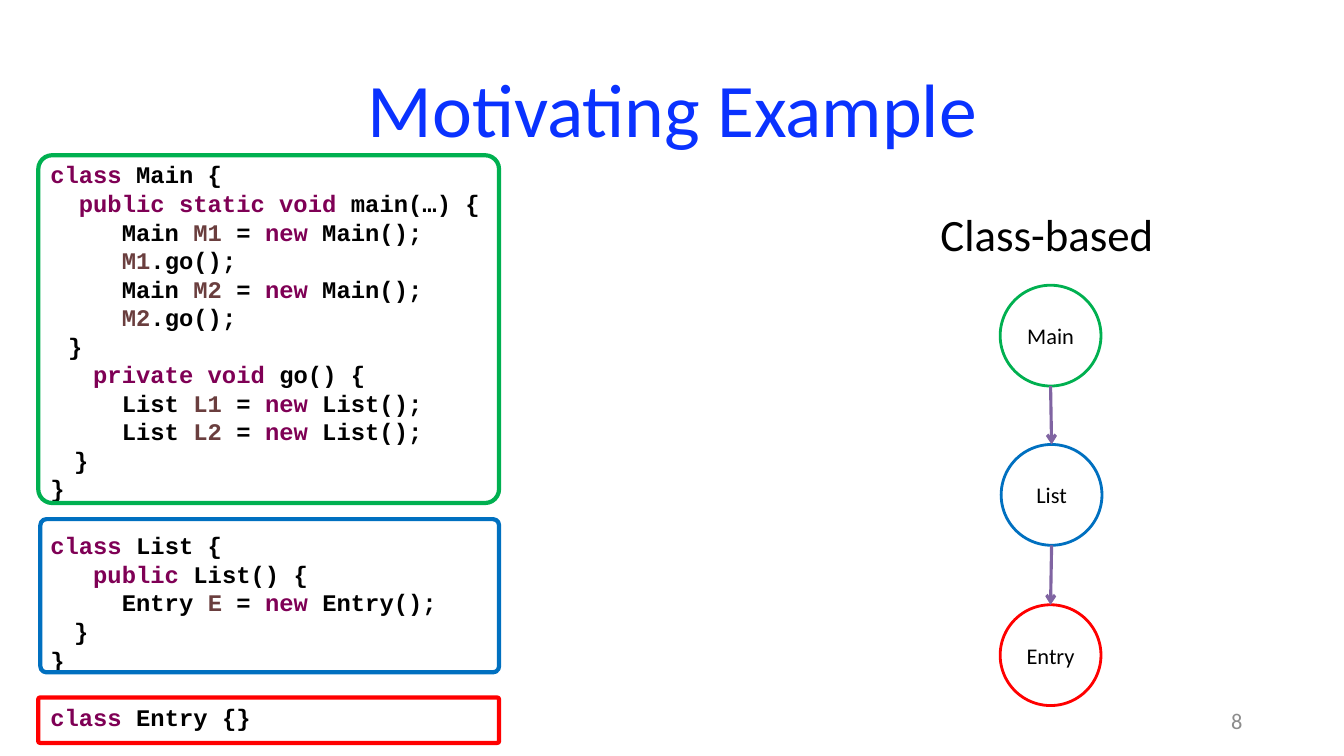
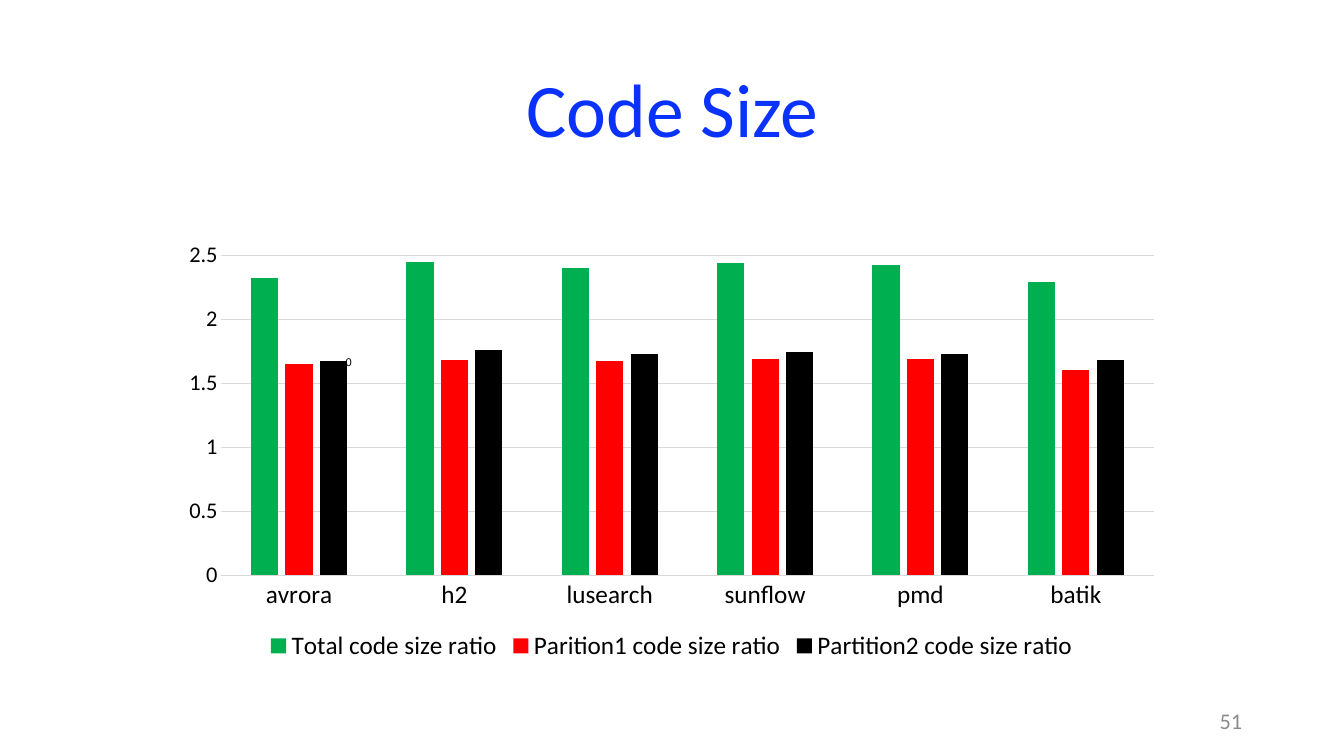
"""Build two slides: a class partitioning example and a code size chart."""
import pptx
import pptx.chart.data
import pptx.dml.color
import pptx.enum.chart
import pptx.enum.shapes
import pptx.enum.text
import pptx.oxml.ns
import pptx.util
from lxml import etree

RGB = pptx.dml.color.RGBColor
BLACK = RGB(0, 0, 0)
WHITE = RGB(255, 255, 255)
TITLE = RGB(0x0A, 0x32, 0xFF)
GRAY = RGB(0x8C, 0x8C, 0x8C)
GRID = RGB(0xD9, 0xD9, 0xD9)
GREEN = RGB(0, 0xB0, 0x50)
BLUE = RGB(0, 0x70, 0xC0)
RED = RGB(255, 0, 0)
PURPLE = RGB(0x80, 0x64, 0xA2)
KEY = RGB(0x7F, 0, 0x55)
VAR = RGB(0x6A, 0x3E, 0x3E)
SANS, MONO, SERIF = "Calibri", "Courier New", "Times New Roman"
PX = 9144
Pt = pptx.util.Pt
ALIGN = pptx.enum.text.PP_ALIGN
ANCHOR = pptx.enum.text.MSO_ANCHOR
SHAPE = pptx.enum.shapes.MSO_SHAPE


def write(para, text, size=16, font=SANS, color=BLACK, bold=False, align=ALIGN.LEFT):
    run = para.add_run()
    run.text = text
    run.font.size = Pt(size)
    run.font.name = font
    run.font.bold = bold
    run.font.color.rgb = color
    para.alignment = align


def frame(slide, x, y, w, h, anchor=ANCHOR.TOP, wrap=True):
    box = slide.shapes.add_textbox(x * PX, y * PX, w * PX, h * PX).text_frame
    box.word_wrap = wrap
    box.vertical_anchor = anchor
    return box


deck = pptx.Presentation()
deck.slide_width = 1333 * PX
deck.slide_height = 750 * PX

slides = []
for title, page in [("Motivating Example", "8"), ("Code Size", "51")]:
    slide = deck.slides.add_slide(deck.slide_layouts[6])
    para = frame(slide, 92, 40, 1150, 145, ANCHOR.MIDDLE).paragraphs[0]
    para.line_spacing = 0.9
    write(para, title, size=54, color=TITLE, align=ALIGN.CENTER)
    para = frame(slide, 942, 695, 300, 40, ANCHOR.MIDDLE).paragraphs[0]
    write(para, page, color=GRAY, align=ALIGN.RIGHT)
    slides.append(slide)
demo, sizes = slides

hues = dict.fromkeys(["class", "public static void", "private void", "public", "new"], KEY)
hues.update(dict.fromkeys(["M1", "M2", "L1", "L2", "E"], VAR))
blocks = [
    [
        "class| Main {",
        "  |public static void| main(…) {",
        "     Main |M1| = |new| Main();",
        "     |M1|.go();",
        "     Main |M2| = |new| Main();",
        "     |M2|.go();",
        "   |}",
        "   |private void| go() {",
        "     List |L1| = |new| List();",
        "     List |L2| = |new| List();",
        "    |}",
        "}",
    ],
    [
        "class| List {",
        "   |public| List() {",
        "     Entry |E| = |new| Entry();",
        "    |}",
        "}",
    ],
    ["class| Entry {}"],
]
pitch = Pt(20.4)
code = frame(demo, 40, 154, 552, 580)
para = None
for block in blocks:
    for row, line in enumerate(block):
        first = para is None
        para = code.paragraphs[0] if first else code.add_paragraph()
        para.line_spacing = pitch
        if row == 0 and not first:
            para.space_before = pitch
        parts = line.split("|")
        for part in parts:
            indent = parts[-1] == "}" and not part.strip()
            write(para, part, size=17, font=SERIF if indent else MONO,
                  color=hues.get(part.strip(), BLACK), bold=True)

for x, y, w, h, color in [
    (38, 154, 457, 345, GREEN), (40, 515, 455, 152, BLUE), (38, 692, 457, 45, RED),
]:
    border = demo.shapes.add_shape(SHAPE.ROUNDED_RECTANGLE, x * PX, y * PX, w * PX, h * PX)
    border.adjustments[0] = 0.04
    border.shadow.inherit = False
    border.fill.background()
    border.line.color.rgb = color
    border.line.width = Pt(3)

write(frame(demo, 923, 200, 244, 64, wrap=False).paragraphs[0], "Class-based", size=32)

last = None
for name, x, y, color in [
    ("Main", 992, 283, GREEN), ("List", 993, 441, BLUE), ("Entry", 992, 600, RED),
]:
    node = demo.shapes.add_shape(SHAPE.OVAL, x * PX, y * PX, 100 * PX, 100 * PX)
    node.shadow.inherit = False
    node.fill.solid()
    node.fill.fore_color.rgb = WHITE
    node.line.color.rgb = color
    node.line.width = Pt(2)
    node.text_frame.word_wrap = False
    node.text_frame.vertical_anchor = ANCHOR.MIDDLE
    write(node.text_frame.paragraphs[0], name, align=ALIGN.CENTER)
    if last:
        arrow = demo.shapes.add_connector(
            pptx.enum.shapes.MSO_CONNECTOR.STRAIGHT,
            last.left + last.width // 2, last.top + last.height,
            node.left + node.width // 2, node.top)
        arrow.line.color.rgb = PURPLE
        arrow.line.width = Pt(2.25)
        etree.SubElement(arrow.line._get_or_add_ln(), pptx.oxml.ns.qn("a:tailEnd"), type="arrow")
        etree.SubElement(arrow._element.spPr, pptx.oxml.ns.qn("a:effectLst"))
    last = node

series = [
    ("Total code size ratio", (2.32, 2.45, 2.4, 2.44, 2.42, 2.29), GREEN),
    ("Parition1 code size ratio", (1.65, 1.68, 1.67, 1.69, 1.69, 1.6), RED),
    ("Partition2 code size ratio", (1.67, 1.76, 1.73, 1.74, 1.73, 1.68), BLACK),
]
data = pptx.chart.data.CategoryChartData()
data.categories = ["avrora", "h2", "lusearch", "sunflow", "pmd", "batik"]
for name, nums, color in series:
    data.add_series(name, nums)
chart = sizes.shapes.add_chart(
    pptx.enum.chart.XL_CHART_TYPE.COLUMN_CLUSTERED,
    168 * PX, 231 * PX, 996 * PX, 430 * PX, data).chart
chart.has_title = False
chart.font.size = Pt(10)
chart.font.name = SANS
chart.font.color.rgb = BLACK
chart.has_legend = True
chart.legend.position = pptx.enum.chart.XL_LEGEND_POSITION.BOTTOM
chart.legend.include_in_layout = False

plot = chart.plots[0]
plot.gap_width = 219
plot.overlap = -27
plot.vary_by_categories = False
for bars, (name, nums, color) in zip(plot.series, series):
    bars.format.fill.solid()
    bars.format.fill.fore_color.rgb = color

cats, vals = chart.category_axis, chart.value_axis
for font, size in [
    (cats.tick_labels.font, 18), (vals.tick_labels.font, 16), (chart.legend.font, 18),
]:
    font.size = Pt(size)
    font.name = SANS
    font.color.rgb = BLACK
for axis in (cats, vals):
    axis.major_tick_mark = pptx.enum.chart.XL_TICK_MARK.NONE
    axis.minor_tick_mark = pptx.enum.chart.XL_TICK_MARK.NONE
vals.minimum_scale = 0
vals.maximum_scale = 2.5
vals.major_unit = 0.5
vals.format.line.fill.background()
for rule in (cats.format.line, vals.major_gridlines.format.line):
    rule.color.rgb = GRID
    rule.width = Pt(0.75)

write(frame(sizes, 333, 348, 667, 24).paragraphs[0], "0", size=8, font="Arial")

deck.save("out.pptx")
